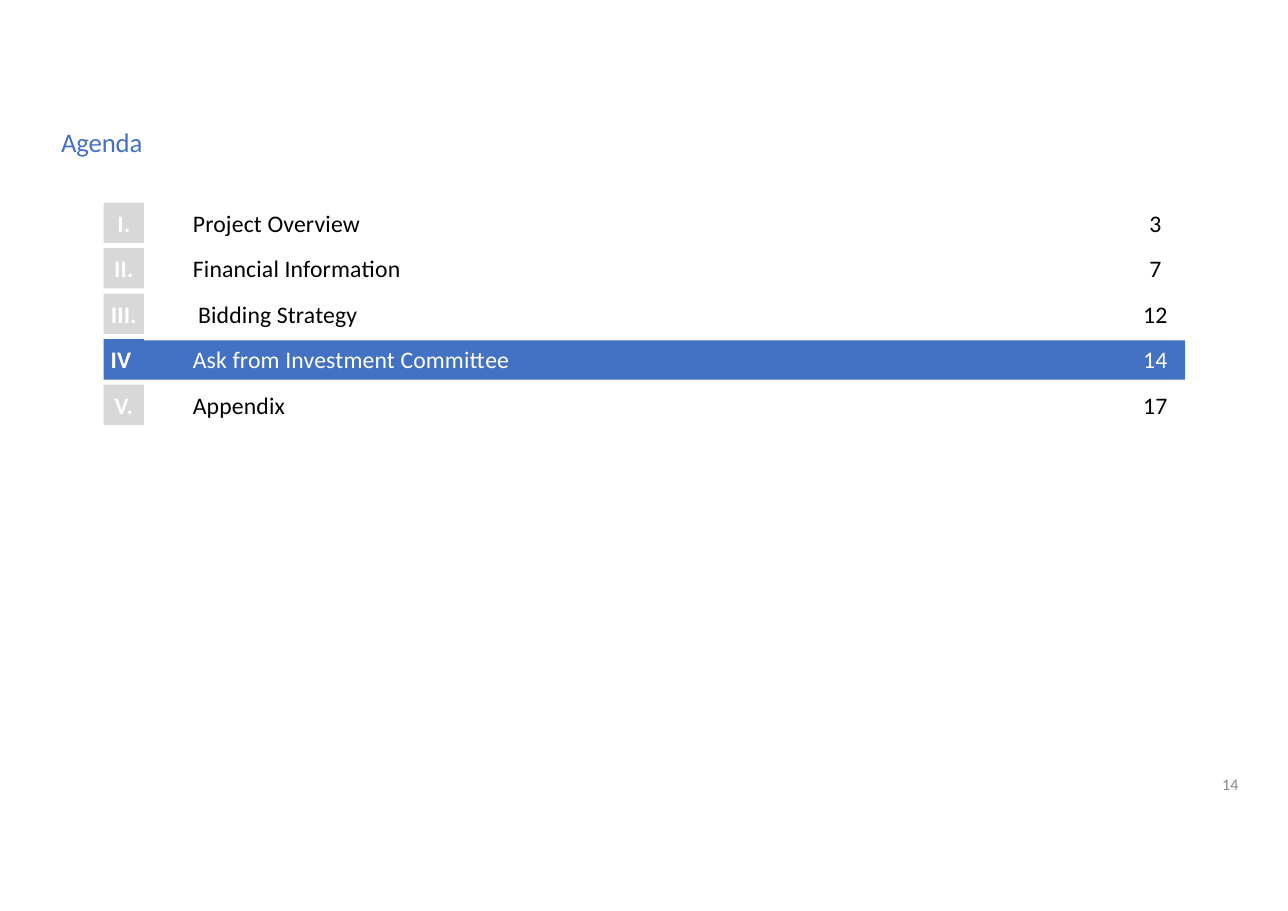
from pptx import Presentation
from pptx.dml.color import RGBColor
from pptx.enum import shapes, text
from pptx.util import Cm, Pt

HEADING = "Agenda"
SLIDE_NUMBER = "14"
SECTIONS = [
    ("I.", "Project Overview", "3", 0),
    ("II.", "Financial Information", "7", 0),
    ("III.", "Bidding Strategy", "12", 0.12),
    ("IV", "Ask from Investment Committee", "14", 0),
    ("V.", "Appendix", "17", 0),
]
CURRENT = 3

BLUE, GREY, WHITE, BLACK = "4371C3", "D8D8D8", "FFFFFF", "000000"
FONT = "Calibri"
LEFT, TOP, PITCH, SIDE = 2.39, 4.67, 1.05, 0.93
BAR_RIGHT, BAR_STEP = 27.33, 0.03
CURRENT_NUMERAL_WIDTH = 0.8
TITLE_LEFT, TITLE_WIDTH = 4.45, 14
PAGE_LEFT, PAGE_WIDTH = 26.14, 1

prs = Presentation()
prs.slide_width, prs.slide_height = Cm(29.7), Cm(21)
slide = prs.slides.add_slide(prs.slide_layouts[6])


def color(target, value):
    if hasattr(target, "solid"):
        target.solid()
        target = target.fore_color
    target.rgb = RGBColor.from_string(value)


def paint(shape, value):
    shape.shadow.inherit = False
    color(shape.fill, value)
    shape.line.fill.background()


def write(shape, words, size, value, bold=False, centred=False, spacing=0.1):
    frame = shape.text_frame
    frame.margin_left = frame.margin_right = frame.margin_top = frame.margin_bottom = 0
    frame.word_wrap = True
    frame.vertical_anchor = text.MSO_ANCHOR.MIDDLE
    line = frame.paragraphs[0]
    line.alignment = text.PP_ALIGN.CENTER if centred else text.PP_ALIGN.LEFT
    run = line.add_run()
    run.text = words
    run.font.name, run.font.size, run.font.bold = FONT, Pt(size), bold
    color(run.font.color, value)
    run.font._element.set("spc", str(round(spacing * 100)))


def label(left, top, width, height):
    return slide.shapes.add_textbox(Cm(left), Cm(top), Cm(width), Cm(height))


def current_bar(top):
    step, bottom = top + BAR_STEP, top + SIDE
    corners = [(LEFT, top), (LEFT + SIDE, top), (LEFT + SIDE, step),
               (BAR_RIGHT, step), (BAR_RIGHT, bottom), (LEFT, bottom)]
    points = [(Cm(x), Cm(y)) for x, y in corners]
    outline = slide.shapes.build_freeform(*points[0])
    outline.add_line_segments(points[1:], close=True)
    paint(outline.convert_to_shape(), BLUE)


write(label(1.41, 2.87, 6, 0.82), HEADING, 17.5, "4371C4", spacing=-0.1)

for row, (numeral, title, page, indent) in enumerate(SECTIONS):
    top = TOP + row * PITCH
    ink = WHITE if row == CURRENT else BLACK
    if row == CURRENT:
        current_bar(top)
        marker = label(LEFT, top, CURRENT_NUMERAL_WIDTH, SIDE)
    else:
        marker = slide.shapes.add_shape(
            shapes.MSO_SHAPE.RECTANGLE, Cm(LEFT), Cm(top), Cm(SIDE), Cm(SIDE))
        paint(marker, GREY)
    write(marker, numeral, 15.5, WHITE, bold=True, centred=True)
    write(label(TITLE_LEFT + indent, top, TITLE_WIDTH, SIDE), title, 15.5, ink)
    write(label(PAGE_LEFT, top, PAGE_WIDTH, SIDE), page, 15.5, ink, centred=True)

write(label(27.87, 17.85, 1, 0.44), SLIDE_NUMBER, 10.5, "898989", centred=True, spacing=0)

prs.save("out.pptx")
